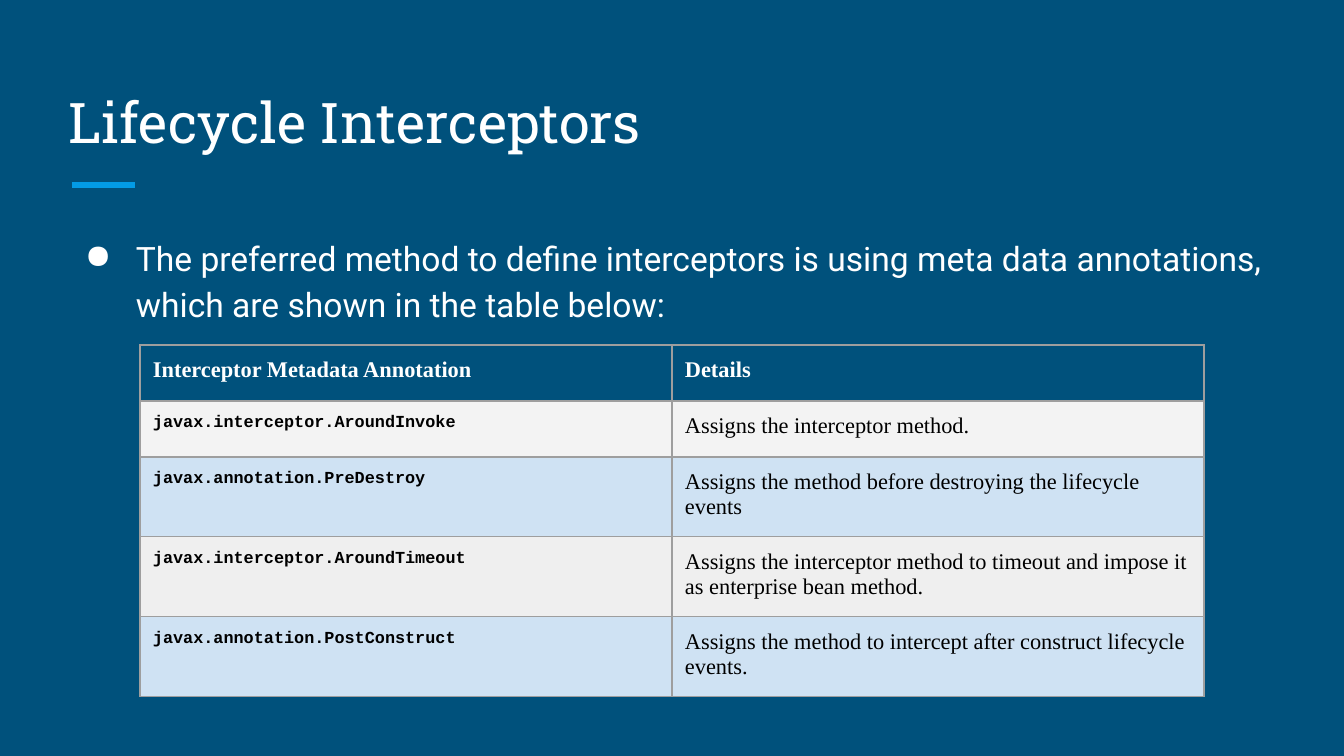
from lxml import etree
from pptx import Presentation
from pptx import util as u
from pptx.dml.color import RGBColor
from pptx.enum import shapes, text
from pptx.oxml import ns

SCALE = 914400 / 134.4
INSET = 13
COLOURS = {
    "background": "00517C",
    "accent": "039BE5",
    "light": "FFFFFF",
    "dark": "000000",
    "border": "9E9E9E",
    "grey": "F3F3F3",
    "silver": "EFEFEF",
    "blue": "CFE2F3",
}
HEADINGS = ("Interceptor Metadata Annotation", "Details")
ANNOTATIONS = [
    ("javax.interceptor.AroundInvoke", "Assigns the interceptor method.", "grey"),
    ("javax.annotation.PreDestroy",
     "Assigns the method before destroying the lifecycle events", "blue"),
    ("javax.interceptor.AroundTimeout",
     "Assigns the interceptor method to timeout and impose it as enterprise bean method.",
     "silver"),
    ("javax.annotation.PostConstruct",
     "Assigns the method to intercept after construct lifecycle events.", "blue"),
]


def px(length):
    """Turn pixels into EMU."""
    return u.Emu(round(length * SCALE))


def colour(name):
    """Look up a named colour."""
    return RGBColor.from_string(COLOURS[name])


def add_element(parent, tag, **attributes):
    """Append a DrawingML element to its parent."""
    return etree.SubElement(parent, ns.qn(tag), attributes)


def set_insets(holder):
    """Give a text frame or table cell equal margins."""
    holder.margin_left = holder.margin_right = px(INSET)
    holder.margin_top = holder.margin_bottom = px(INSET)


def write(text_frame, content, font, size, ink, bold=False):
    """Write one formatted paragraph and return it."""
    text_frame.text = content
    paragraph = text_frame.paragraphs[0]
    style = paragraph.runs[0].font
    style.name, style.size, style.bold = font, u.Pt(size), bold
    style.color.rgb = colour(ink)
    return paragraph


def add_text_box(slide, box):
    """Add a wrapping text box and return its text frame."""
    text_frame = slide.shapes.add_textbox(*map(px, box)).text_frame
    text_frame.word_wrap = True
    set_insets(text_frame)
    return text_frame


def add_title(slide, box, content):
    """Add the title with the short accent line below it."""
    left, top, width, height = box
    text_frame = add_text_box(slide, box)
    text_frame.vertical_anchor = text.MSO_ANCHOR.BOTTOM
    write(text_frame, content, "Roboto Slab", 30, "light")
    start, level = left + 16, top + height + 17
    line = slide.shapes.add_connector(
        shapes.MSO_CONNECTOR.STRAIGHT, px(start), px(level), px(start + 63), px(level))
    line.line.color.rgb = colour("accent")
    line.line.width = u.Pt(3)
    add_element(line._element.spPr, "a:effectLst")


def add_bullet(slide, box, content):
    """Add the bulleted introduction."""
    paragraph = write(add_text_box(slide, box), content, "Roboto", 18, "light")
    paragraph.line_spacing = 1.15
    properties = paragraph._p.get_or_add_pPr()
    properties.set("marL", str(px(67)))
    properties.set("indent", str(px(-51)))
    bullet_colour = add_element(properties, "a:buClr")
    add_element(bullet_colour, "a:srgbClr", val=COLOURS["light"])
    add_element(properties, "a:buChar", char="●")


def format_cell(cell, fill=None):
    """Set the margins, borders and fill of a table cell."""
    set_insets(cell)
    properties = cell._tc.get_or_add_tcPr()
    for side in ("a:lnL", "a:lnR", "a:lnT", "a:lnB"):
        border = add_element(properties, side, w=str(u.Pt(0.75)))
        solid = add_element(border, "a:solidFill")
        add_element(solid, "a:srgbClr", val=COLOURS["border"])
    if fill:
        cell.fill.solid()
        cell.fill.fore_color.rgb = colour(fill)
    else:
        cell.fill.background()


def add_annotation_table(slide, box):
    """Add the table of annotations and their details."""
    frame = slide.shapes.add_table(len(ANNOTATIONS) + 1, len(HEADINGS), *map(px, box))
    table = frame.table
    table.first_row = table.horz_banding = False
    for cell, heading in zip(table.rows[0].cells, HEADINGS):
        format_cell(cell)
        write(cell.text_frame, heading, "Times New Roman", 12, "light", True)
    for row, (annotation, details, fill) in enumerate(ANNOTATIONS, 1):
        name_cell, details_cell = table.rows[row].cells
        format_cell(name_cell, fill)
        format_cell(details_cell, fill)
        write(name_cell.text_frame, annotation, "Courier New", 9, "dark", True)
        write(details_cell.text_frame, details, "Times New Roman", 12, "dark")


def main():
    """Build and save the presentation."""
    presentation = Presentation()
    presentation.slide_width, presentation.slide_height = px(1344), px(756)
    slide = presentation.slides.add_slide(presentation.slide_layouts[6])
    slide.background.fill.solid()
    slide.background.fill.fore_color.rgb = colour("background")
    add_title(slide, (56, 67, 1230, 101), "Lifecycle Interceptors")
    add_bullet(slide, (56, 219, 1230, 126),
               "The preferred method to define interceptors is using meta data "
               "annotations, which are shown in the table below:")
    add_annotation_table(slide, (140, 345, 1064, 280))
    presentation.save("out.pptx")


if __name__ == "__main__":
    main()
